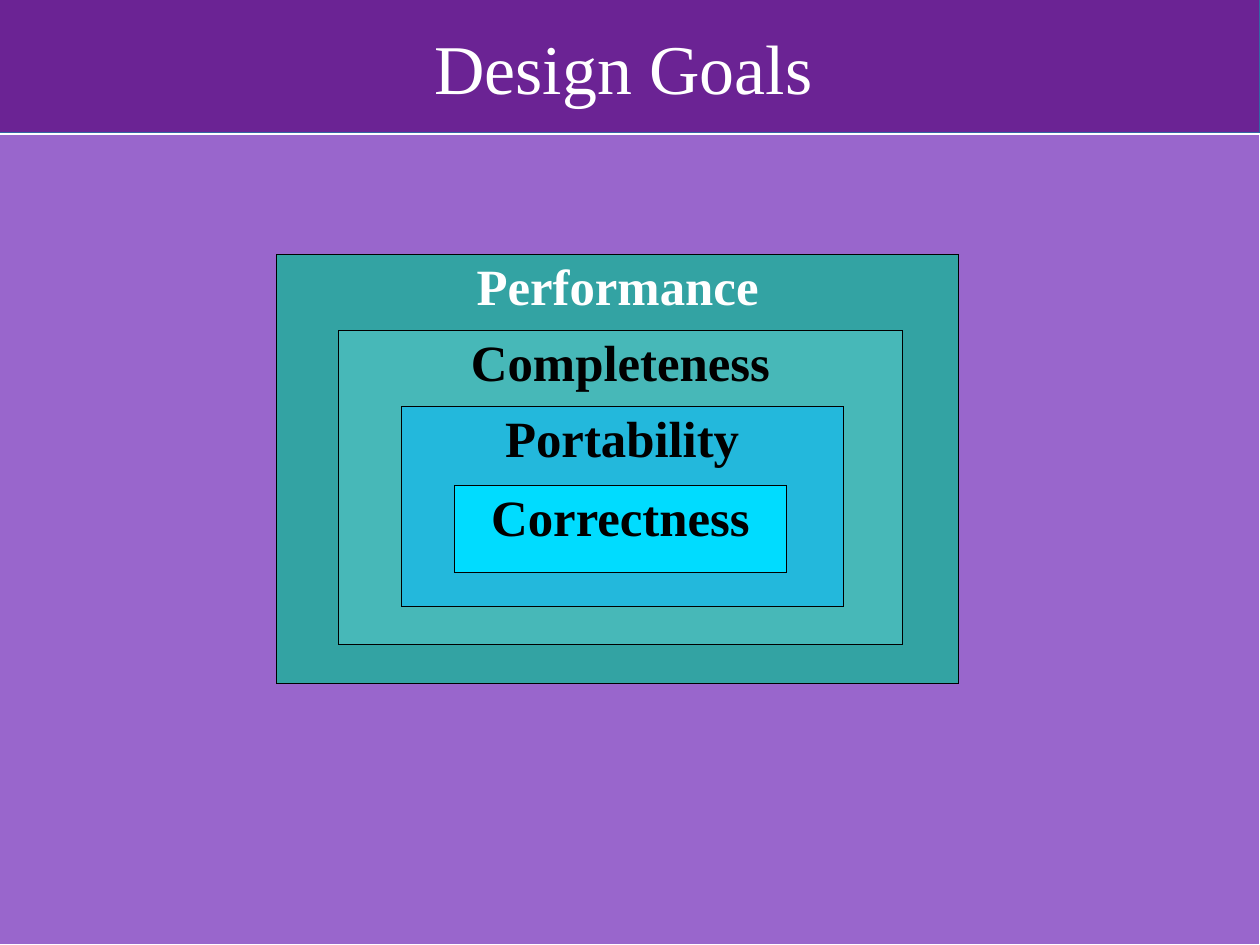
from dataclasses import dataclass

from pptx import Presentation
from pptx.dml.color import RGBColor
from pptx.enum.shapes import MSO_SHAPE
from pptx.enum.text import MSO_ANCHOR, PP_ALIGN
from pptx.util import Inches, Pt


@dataclass(frozen=True)
class Theme:
    font: str = "Times New Roman"
    title_size: int = 44
    goal_size: int = 32
    hairline: float = 0.01
    white: str = "FFFFFF"
    black: str = "000000"
    body: str = "9966CC"
    header: str = "6B2394"
    header_edge: str = "3465A4"
    performance: str = "33A3A3"
    completeness: str = "47B8B8"
    portability: str = "23B8DC"
    correctness: str = "00DCFF"


THEME = Theme()
# The page is 28 by 21 centimetres
CM_PER_INCH = 2.54
SLIDE_WIDTH, SLIDE_HEIGHT = 28 / CM_PER_INCH, 21 / CM_PER_INCH
HEADER_HEIGHT = 1.16
BODY_TOP = 1.18

# Goal, fill, text colour, (left, top, width, height), outermost first
GOALS = [
    ("Performance", THEME.performance, THEME.white, (2.42, 2.23, 5.97, 3.75)),
    ("Completeness", THEME.completeness, THEME.black, (2.96, 2.89, 4.94, 2.75)),
    ("Portability", THEME.portability, THEME.black, (3.51, 3.56, 3.87, 1.75)),
    ("Correctness", THEME.correctness, THEME.black, (3.98, 4.25, 2.9, 0.76)),
]


def add_panel(slide, bounds, fill, edge):
    """Add a filled rectangle with a hairline edge."""
    panel = slide.shapes.add_shape(MSO_SHAPE.RECTANGLE, *map(Inches, bounds))
    panel.shadow.inherit = False
    panel.fill.solid()
    panel.fill.fore_color.rgb = RGBColor.from_string(fill)
    panel.line.color.rgb = RGBColor.from_string(edge)
    panel.line.width = Pt(THEME.hairline)
    return panel


def set_label(holder, text, size, color, anchor, bold=False):
    """Write one centred line without insets."""
    frame = holder.text_frame
    frame.text = text
    frame.word_wrap = True
    frame.vertical_anchor = anchor
    frame.margin_left = frame.margin_right = Inches(0)
    frame.margin_top = frame.margin_bottom = Inches(0)
    paragraph = frame.paragraphs[0]
    paragraph.alignment = PP_ALIGN.CENTER
    font = paragraph.runs[0].font
    font.name = THEME.font
    font.size = Pt(size)
    font.bold = bold
    font.color.rgb = RGBColor.from_string(color)


def add_title(slide, text):
    bounds = (0.75, 0, 9.41, HEADER_HEIGHT)
    title = slide.shapes.add_textbox(*map(Inches, bounds))
    set_label(title, text, THEME.title_size, THEME.white, MSO_ANCHOR.MIDDLE)


def add_goal(slide, name, fill, color, bounds):
    goal = add_panel(slide, bounds, fill, THEME.black)
    set_label(goal, name, THEME.goal_size, color, MSO_ANCHOR.TOP, bold=True)


def main():
    deck = Presentation()
    deck.slide_width = Inches(SLIDE_WIDTH)
    deck.slide_height = Inches(SLIDE_HEIGHT)
    slide = deck.slides.add_slide(deck.slide_layouts[6])

    body = (0, BODY_TOP, SLIDE_WIDTH, SLIDE_HEIGHT - BODY_TOP)
    add_panel(slide, body, THEME.body, THEME.white)
    header = (0, 0, SLIDE_WIDTH, HEADER_HEIGHT)
    add_panel(slide, header, THEME.header, THEME.header_edge)
    add_title(slide, "Design Goals")
    for goal in GOALS:
        add_goal(slide, *goal)

    deck.save("out.pptx")


if __name__ == "__main__":
    main()
